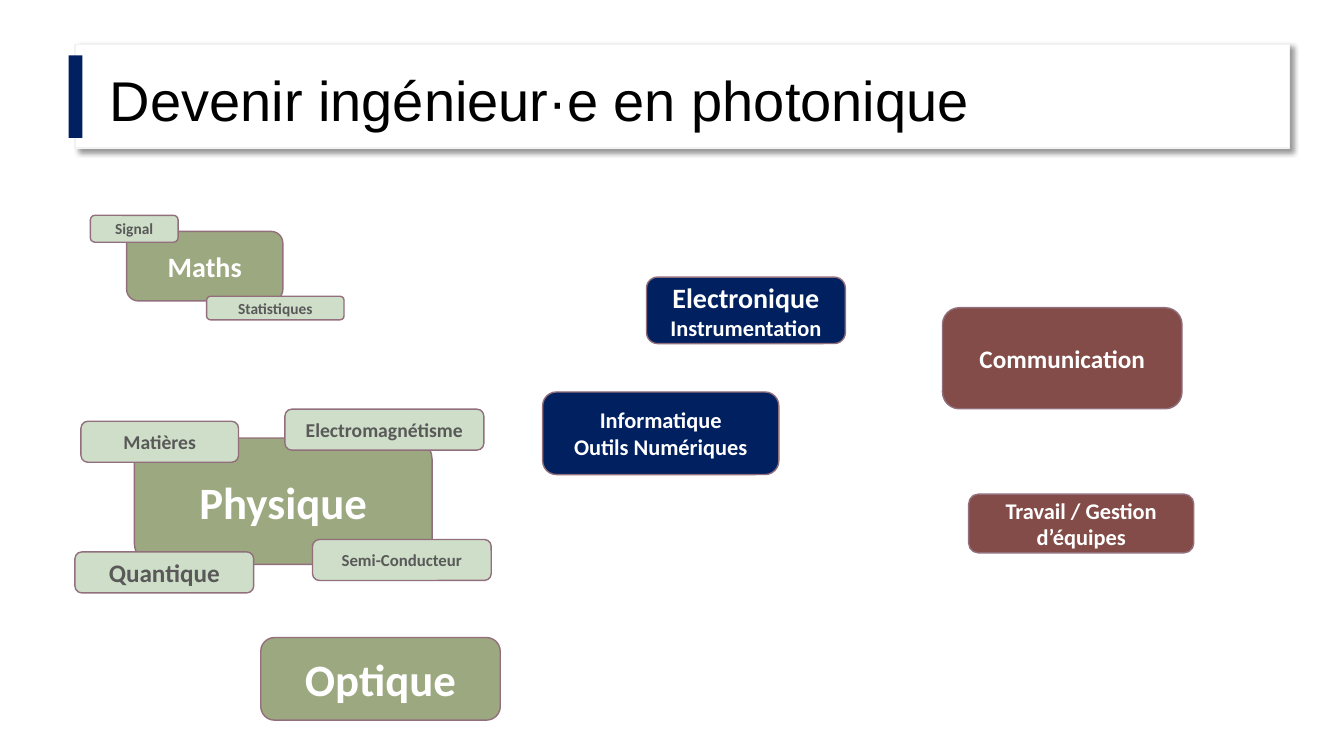
from lxml import etree
from pptx import Presentation
from pptx.dml.color import RGBColor
from pptx.enum.shapes import MSO_SHAPE as Kind
from pptx.enum.text import MSO_ANCHOR as Anchor, PP_ALIGN as Align
from pptx.oxml.ns import qn
from pptx.util import Inches, Pt

NAVY, WHITE, BLACK, GREY = "002060", "FFFFFF", "000000", "595959"
OLIVE, MINT, BRICK, MAUVE = "9CA87F", "CEDEC8", "834C48", "926F7C"


def rgb(code):
    return RGBColor.from_string(code)


class Deck:
    """Slide builder on a grid of 40 columns by 22.5 rows of square cells."""

    def __init__(self):
        self.prs = Presentation()
        self.prs.slide_width, self.prs.slide_height = Inches(13.33), Inches(7.5)
        self.cell = self.prs.slide_width / 40
        self.slide = self.prs.slides.add_slide(self.prs.slide_layouts[5])

    def place(self, at):
        return [round(n * self.cell) for n in at]

    def shape(self, kind, at, fill, line=None):
        item = self.slide.shapes.add_shape(kind, *self.place(at))
        item.shadow.inherit = False
        item.fill.solid()
        item.fill.fore_color.rgb = rgb(fill)
        if line:
            item.line.color.rgb = rgb(line)
            item.line.width = Pt(1)
        else:
            item.line.fill.background()
        return item

    def panel(self, at):
        """Add a white panel with a soft shadow, behind the title."""
        item = self.shape(Kind.RECTANGLE, at, WHITE, "F2F2F2")
        glow = item.element.spPr.find(qn("a:effectLst"))
        cast = etree.SubElement(glow, qn("a:outerShdw"), blurRad=str(Pt(4)),
                                dist=str(Pt(3)), dir="2700000", algn="tl")
        tint = etree.SubElement(cast, qn("a:srgbClr"), val=BLACK)
        etree.SubElement(tint, qn("a:alpha"), val="40000")
        self.slide.shapes.title.element.addprevious(item.element)

    def title(self, at, text):
        item = self.slide.shapes.title
        item.left, item.top, item.width, item.height = self.place(at)
        item.text_frame.text = text
        item.text_frame.vertical_anchor = Anchor.MIDDLE
        para = item.text_frame.paragraphs[0]
        para.alignment, para.line_spacing = Align.LEFT, 0.9
        self.style(para, "Arial", 40, BLACK)

    def style(self, para, face, size, ink, bold=False):
        for run in para.runs:
            font = run.font
            font.name, font.size, font.bold = face, Pt(size), bold
            font.color.rgb = rgb(ink)

    def topic(self, at, text, sizes, fill, ink=WHITE):
        """Add a rounded box; sizes holds one text size per line."""
        frame = self.shape(Kind.ROUNDED_RECTANGLE, at, fill, MAUVE).text_frame
        frame.word_wrap = True
        frame.vertical_anchor = Anchor.MIDDLE
        frame.text = text
        for para, size in zip(frame.paragraphs, sizes):
            para.alignment = Align.CENTER
            self.style(para, "Calibri", size, ink, True)


FIELDS = [
    ((4, 13.04, 8.86, 3.76), "Physique", [32], OLIVE),
    ((3.77, 6.89, 4.65, 2.07), "Maths", [20], OLIVE),
    ((7.76, 18.98, 7.13, 2.46), "Optique", [32], OLIVE),
    ((2.23, 16.43, 5.32, 1.22), "Quantique", [18], MINT, GREY),
    ((8.48, 12.18, 5.92, 1.22), "Electromagnétisme", [14], MINT, GREY),
    ((9.3, 16.06, 5.32, 1.22), "Semi-Conducteur", [12], MINT, GREY),
    ((2.41, 12.54, 4.69, 1.22), "Matières", [14], MINT, GREY),
    ((6.15, 8.82, 4.09, 0.7), "Statistiques", [11], MINT, GREY),
    ((2.69, 6.41, 2.61, 0.8), "Signal", [11], MINT, GREY),
    ((19.24, 8.25, 5.92, 1.98), "Electronique\nInstrumentation", [20, 16], NAVY),
    ((16.15, 11.67, 7.03, 2.46), "Informatique\nOutils Numériques", [16, 16], NAVY),
    ((28.05, 9.16, 7.13, 3.01), "Communication", [18], BRICK),
    ((28.83, 14.71, 6.7, 1.75), "Travail / Gestion d’équipes", [16], BRICK),
]


def main():
    deck = Deck()
    deck.panel((2.23, 1.32, 36.15, 3.09))
    deck.title((2.97, 1.92, 29.43, 2.31), "Devenir ingénieur·e en photonique")
    deck.shape(Kind.RECTANGLE, (2.04, 1.65, 0.41, 2.46), NAVY)
    for field in FIELDS:
        deck.topic(*field)
    deck.prs.save("out.pptx")


if __name__ == "__main__":
    main()
